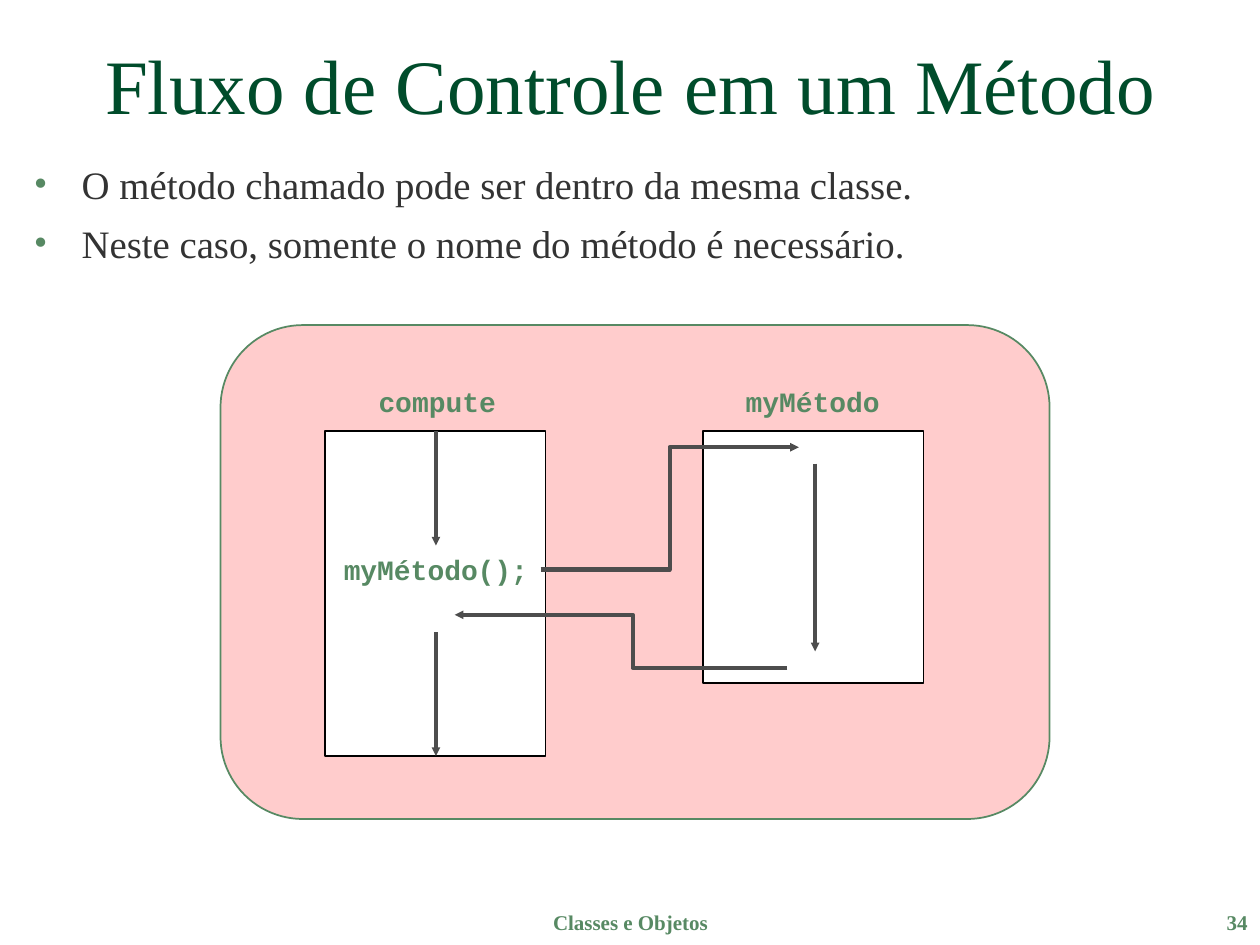
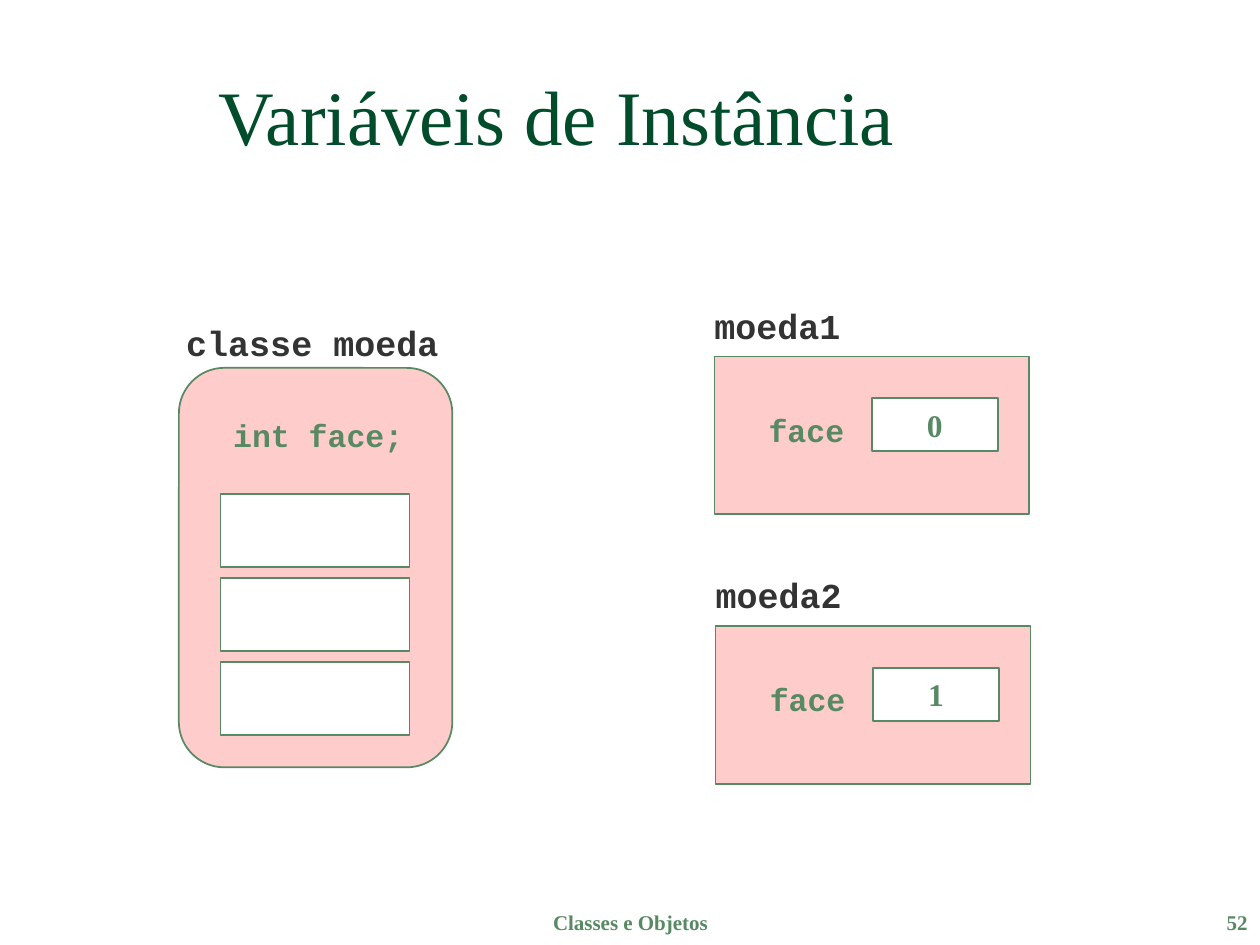
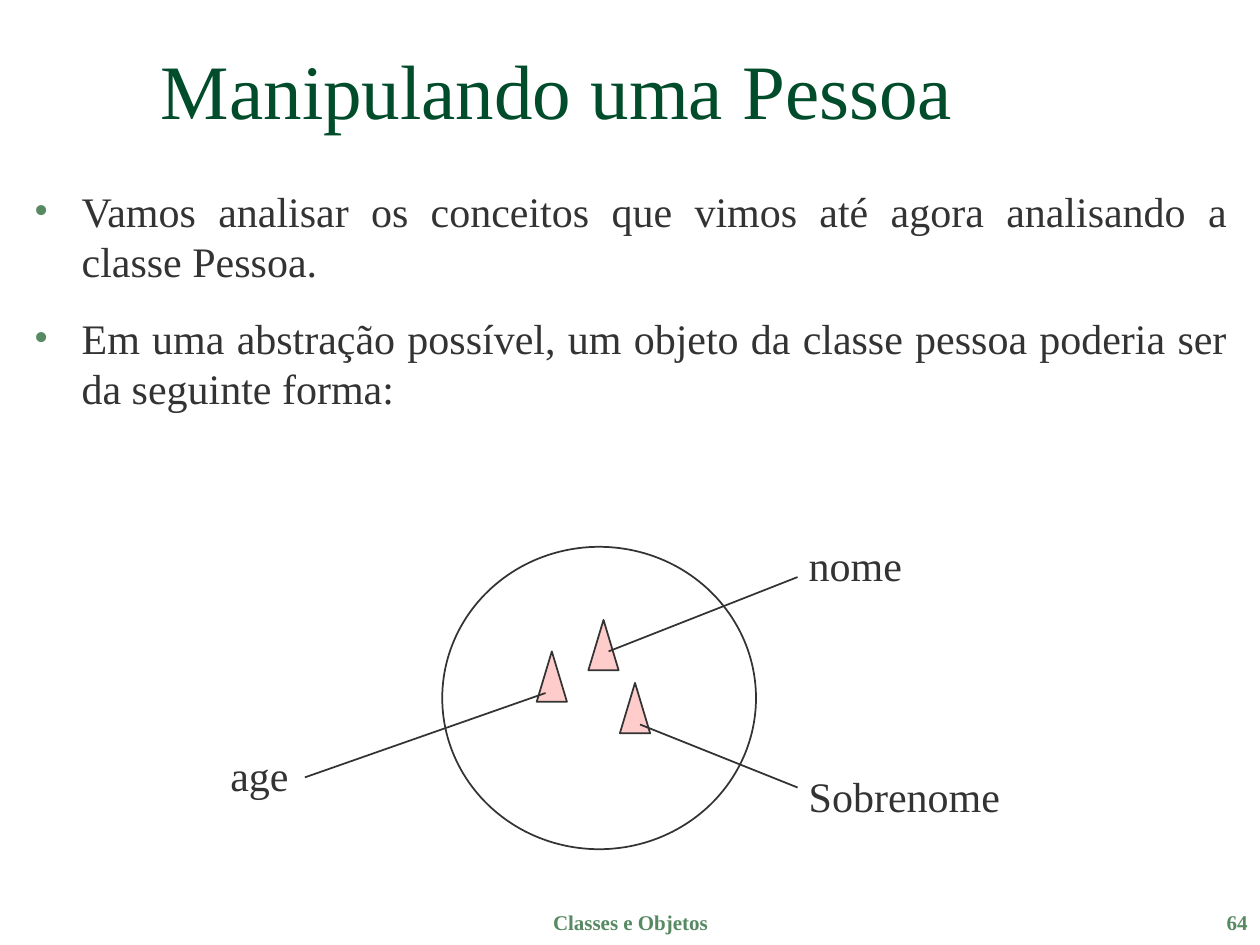
from dataclasses import dataclass

from lxml.etree import SubElement
from pptx import Presentation
from pptx.dml.color import RGBColor
from pptx.enum.shapes import MSO_CONNECTOR as LINK, MSO_SHAPE as SHAPE
from pptx.enum.text import MSO_ANCHOR as ANCHOR, MSO_AUTO_SIZE as AUTO, PP_ALIGN as ALIGN
from pptx.oxml.ns import qn
from pptx.util import Inches, Pt


@dataclass(frozen=True)
class Theme:
    """Colours, fonts and type sizes shared by all slides."""
    title: str = "004C2B"
    ink: str = "333333"
    green: str = "578963"
    pink: str = "FFCCCC"
    white: str = "FFFFFF"
    black: str = "000000"
    arrow: str = "4D4D4D"
    serif: str = "Times New Roman"
    mono: str = "Courier New"
    title_size: float = 44
    body_size: float = 24
    tight_body_size: float = 22.2
    heading_size: float = 20
    code_size: float = 18
    small_code_size: float = 16
    footer_size: float = 12


@dataclass(frozen=True)
class Box:
    """Rectangle in inches that places its parts relative to its corner."""
    x: float
    y: float
    w: float
    h: float

    def sub(self, dx, dy, w, h):
        """Return a box offset from this one."""
        return Box(self.x + dx, self.y + dy, w, h)

    def point(self, dx, dy):
        """Return a point offset from the corner."""
        return self.x + dx, self.y + dy

    def emu(self):
        """Return left, top, width and height as lengths."""
        return [Inches(v) for v in (self.x, self.y, self.w, self.h)]


T = Theme()


def rgb(color):
    """Turn a hex string into a colour."""
    return RGBColor.from_string(color)


def style(p, size, color=T.ink, font=T.serif, bold=False, align=ALIGN.LEFT):
    """Format a whole paragraph."""
    p.alignment = align
    p.font.size = Pt(size)
    p.font.name = font
    p.font.bold = bold
    p.font.color.rgb = rgb(color)


def add_text(s, box, text, size, anchor=ANCHOR.TOP, fit=False, **fmt):
    """Add a one-paragraph text box, fitted to its text if asked."""
    tf = s.shapes.add_textbox(*box.emu()).text_frame
    tf.word_wrap = not fit
    tf.auto_size = AUTO.SHAPE_TO_FIT_TEXT if fit else AUTO.NONE
    tf.vertical_anchor = anchor
    tf.text = text
    style(tf.paragraphs[0], size, **fmt)


def add_code(s, box, text, size, color=T.green):
    """Add a centred bold label in the code font."""
    add_text(s, box, text, size, ANCHOR.MIDDLE, True,
             color=color, font=T.mono, bold=True, align=ALIGN.CENTER)


def add_figure(s, kind, box, fill=None, line=T.green):
    """Add a preset shape with a thin outline and no shadow."""
    sp = s.shapes.add_shape(kind, *box.emu())
    sp.shadow.inherit = False
    if fill:
        sp.fill.solid()
        sp.fill.fore_color.rgb = rgb(fill)
    else:
        sp.fill.background()
    sp.line.color.rgb = rgb(line)
    sp.line.width = Pt(1)
    return sp


def add_line(s, start, end, color=T.ink, width=1, kind=LINK.STRAIGHT, head=False, bend=None):
    """Add a connector, with an arrowhead and a bend position if asked."""
    cn = s.shapes.add_connector(kind, *[Inches(v) for v in (*start, *end)])
    cn.line.color.rgb = rgb(color)
    cn.line.width = Pt(width)
    props = cn._element.spPr
    if head:
        SubElement(props.find(qn("a:ln")), qn("a:tailEnd"), type="triangle", w="sm", len="sm")
    if bend is not None:
        guides = props.find(qn("a:prstGeom")).get_or_add_avLst()
        SubElement(guides, qn("a:gd"), name="adj1", fmla=f"val {round(bend * 100000)}")
    SubElement(props, qn("a:effectLst"))


def add_bullets(s, box, lines, size, spacing=1.0):
    """Add justified paragraphs with green hanging bullets."""
    tf = s.shapes.add_textbox(*box.emu()).text_frame
    tf.word_wrap = True
    for i, line in enumerate(lines):
        p = tf.add_paragraph() if i else tf.paragraphs[0]
        p.text = line
        props = p._p.get_or_add_pPr()
        props.set("marL", str(Inches(0.38)))
        props.set("indent", str(-Inches(0.38)))
        color = SubElement(props, qn("a:buClr"))
        SubElement(color, qn("a:srgbClr"), val=T.green)
        SubElement(props, qn("a:buFont"), typeface=T.serif)
        SubElement(props, qn("a:buChar"), char="•")
        p.line_spacing = spacing
        if i:
            p.space_before = Pt(15)
        style(p, size, align=ALIGN.JUSTIFY)


def add_slide(prs, title, box, number, anchor=ANCHOR.BOTTOM):
    """Add a slide with its title, footer and page number."""
    s = prs.slides.add_slide(prs.slide_layouts[5])
    sp = s.shapes.title
    sp.left, sp.top, sp.width, sp.height = box.emu()
    tf = sp.text_frame
    tf.text = title
    tf.word_wrap = True
    tf.auto_size = AUTO.NONE
    tf.vertical_anchor = anchor
    style(tf.paragraphs[0], T.title_size, T.title, align=ALIGN.CENTER)
    footer = dict(color=T.green, bold=True)
    add_text(s, Box(3.42, 7.17, 3.17, 0.5), "Classes e Objetos", T.footer_size,
             align=ALIGN.CENTER, **footer)
    add_text(s, Box(7.92, 7.17, 2.08, 0.5), str(number), T.footer_size,
             align=ALIGN.RIGHT, **footer)
    return s


def draw_call_flow(s, box):
    """Draw two methods of one class and the call between them."""
    add_figure(s, SHAPE.FLOWCHART_ALTERNATE_PROCESS, box, T.pink)
    for dx, height in ((0.83, 2.58), (3.83, 2)):
        add_figure(s, SHAPE.RECTANGLE, box.sub(dx, 0.84, 1.75, height), T.white, T.black)
    for text, dx, dy, w in (("myMétodo();", 0.85, 1.75, 1.72),
                            ("myMétodo", 4.04, 0.42, 1.32),
                            ("compute", 1.12, 0.42, 1.2)):
        add_code(s, box.sub(dx, dy, w, 0.37), text, T.small_code_size)
    pen = dict(color=T.arrow, width=2.5, head=True)
    for dx, top, bottom in ((1.71, 0.84, 1.75), (1.71, 2.44, 3.42), (4.72, 1.1, 2.59)):
        add_line(s, box.point(dx, top), box.point(dx, bottom), **pen)
    for start, end, bend in (((2.54, 1.94), (4.59, 0.97), 0.5),
                             ((4.5, 2.72), (1.86, 2.3), 0.465)):
        add_line(s, box.point(*start), box.point(*end), kind=LINK.ELBOW, bend=bend, **pen)


def draw_class(s, box):
    """Draw the class with its variable and three method slots."""
    add_figure(s, SHAPE.FLOWCHART_ALTERNATE_PROCESS, box, T.pink)
    for i in range(3):
        add_figure(s, SHAPE.RECTANGLE, box.sub(0.33, 1 + i * 2 / 3, 1.5, 0.58), T.white)
    add_code(s, box.sub(0.3, 0.33, 1.61, 0.4), "int face;", T.code_size)
    add_code(s, box.sub(-0.09, -0.42, 2.3, 0.44), "classe moeda", T.heading_size, T.ink)


def draw_coin(s, box, name, value):
    """Draw one object with the value of its variable."""
    add_figure(s, SHAPE.RECTANGLE, box, T.pink)
    add_code(s, box.sub(0.3, 0.38, 0.86, 0.4), "face", T.code_size)
    cell = add_figure(s, SHAPE.RECTANGLE, box.sub(1.25, 0.33, 1, 0.42), T.white)
    tf = cell.text_frame
    tf.text = value
    tf.word_wrap = False
    tf.vertical_anchor = ANCHOR.MIDDLE
    style(tf.paragraphs[0], T.code_size, T.green, bold=True, align=ALIGN.CENTER)
    add_code(s, box.sub(-0.13, -0.47, 1.26, 0.44), name, T.heading_size, T.ink)


def draw_person(s, box):
    """Draw the object as a circle with three labelled attributes."""
    add_figure(s, SHAPE.OVAL, box, line=T.ink)
    attributes = (("age", (0.75, 0.83), (-1.78, 1.56, 0.66), (0.82, 1.16), (-1.09, 1.83)),
                  ("nome", (1.16, 0.58), (2.81, -0.11, 0.94), (1.32, 0.83), (2.82, 0.24)),
                  ("Sobrenome", (1.41, 1.08), (2.81, 1.73, 1.72), (1.57, 1.41), (2.82, 1.91)))
    for name, mark, (dx, dy, w), start, end in attributes:
        add_figure(s, SHAPE.ISOSCELES_TRIANGLE, box.sub(*mark, 0.24, 0.4), T.pink, T.ink)
        add_text(s, box.sub(dx, dy, w, 0.5), name, T.body_size, fit=True)
        add_line(s, box.point(*start), box.point(*end))


def build_method_slide(prs):
    """Build the slide on control flow within one class."""
    s = add_slide(prs, "Fluxo de Controle em um Método", Box(-0.08, -0.17, 10.17, 1.25), 34)
    add_bullets(s, Box(0.17, 1.33, 9.67, 0.85),
                ("O método chamado pode ser dentro da mesma classe.",
                 "Neste caso, somente o nome do método é necessário."), T.tight_body_size, 0.7)
    draw_call_flow(s, Box(1.75, 2.58, 6.58, 3.92))


def build_variables_slide(prs):
    """Build the slide on instance variables."""
    s = add_slide(prs, "Variáveis de Instância", Box(0.17, 0.08, 8.5, 1.25), 52)
    draw_class(s, Box(1.42, 2.92, 2.17, 3.17))
    draw_coin(s, Box(5.67, 2.83, 2.5, 1.25), "moeda1", "0")
    draw_coin(s, Box(5.68, 4.97, 2.5, 1.25), "moeda2", "1")


def build_person_slide(prs):
    """Build the slide on the person object."""
    s = add_slide(prs, "Manipulando uma Pessoa", Box(0.17, 0.08, 8.5, 1.25), 64, ANCHOR.MIDDLE)
    add_bullets(s, Box(0.17, 1.42, 9.67, 2.04),
                ("Vamos analisar os conceitos que vimos até agora analisando a classe Pessoa.",
                 "Em uma abstração possível, um objeto da classe pessoa poderia ser "
                 "da seguinte forma:"), T.body_size)
    draw_person(s, Box(3.51, 4.34, 2.49, 2.4))


def main():
    """Build and save the presentation."""
    prs = Presentation()
    prs.slide_width, prs.slide_height = Inches(10), Inches(7.5)
    build_method_slide(prs)
    build_variables_slide(prs)
    build_person_slide(prs)
    prs.save("out.pptx")


if __name__ == "__main__":
    main()
